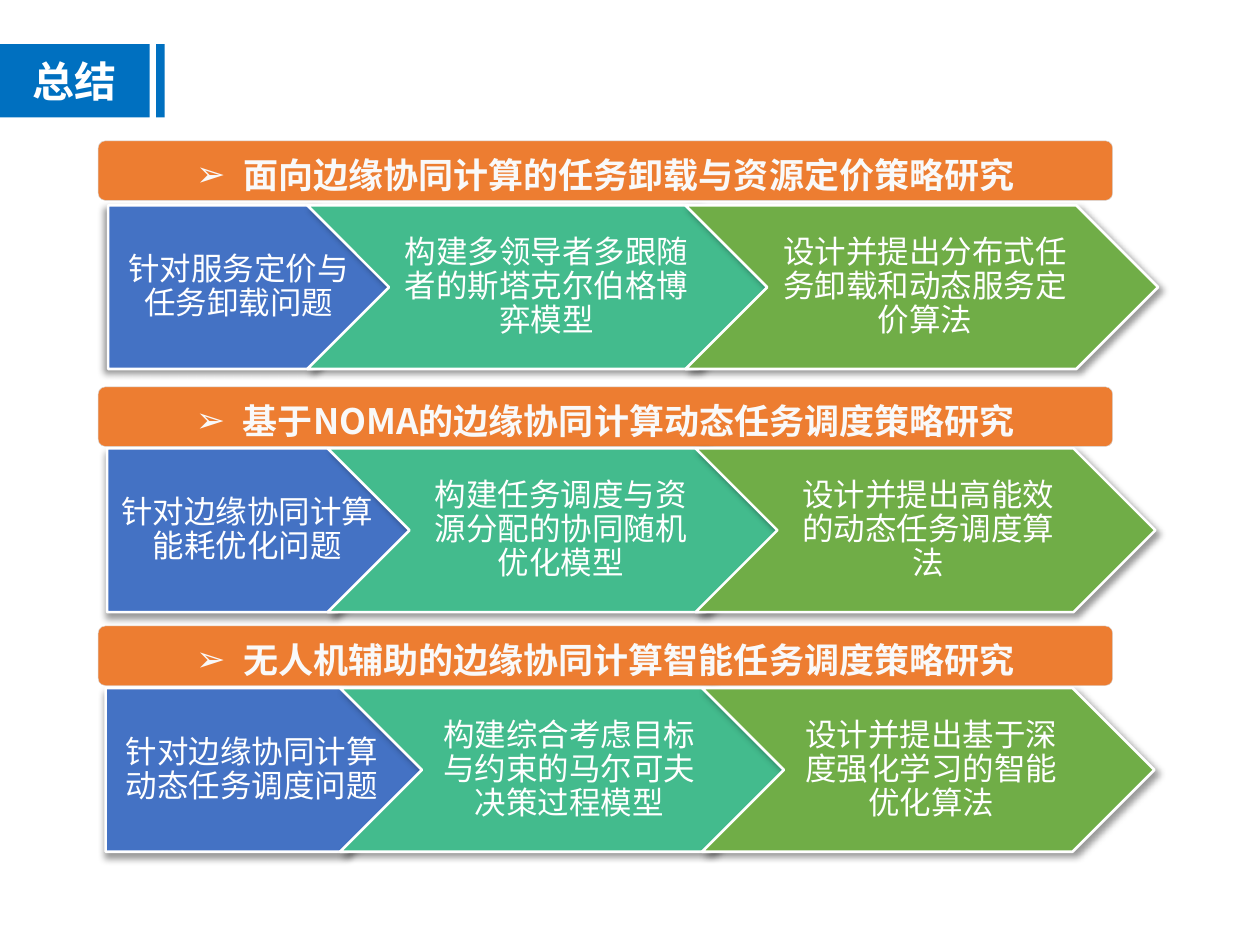
import pptx
import pptx.util
import pptx.dml.color
import pptx.enum.shapes
import pptx.enum.text
import pptx.oxml.ns
from lxml import etree

Cm, Pt = pptx.util.Cm, pptx.util.Pt
RGBColor = pptx.dml.color.RGBColor
MSO_SHAPE = pptx.enum.shapes.MSO_SHAPE
qn = pptx.oxml.ns.qn

WHITE = RGBColor(0xFF, 0xFF, 0xFF)
OFF_WHITE = RGBColor(0xF9, 0xF9, 0xF9)
GREY = RGBColor(0xD7, 0xD7, 0xD7)
TITLE_BLUE = RGBColor(0x00, 0x70, 0xC0)
ORANGE = RGBColor(0xED, 0x7D, 0x31)
BLUE = RGBColor(0x44, 0x72, 0xC4)
TEAL = RGBColor(0x43, 0xBB, 0x8D)
GREEN = RGBColor(0x70, 0xAD, 0x47)

BODY_FONT = "Noto Sans CJK SC"
HEAD_HEIGHT = 1.2
ARROW_HEIGHT = 3.3

# heading, top, arrow offset, arrow left, first and further arrow widths,
# direction of the first arrow's shadow, arrow texts
TOPICS = [
    ("面向边缘协同计算的任务卸载与资源定价策略研究", 2.84, 1.3, 2.18, 5.92, 9.53, 135,
     ["针对服务定价与任务卸载问题",
      "构建多领导者多跟随者的斯塔克尔伯格博弈模型",
      "设计并提出分布式任务卸载和动态服务定价算法"]),
    ("基于NOMA的边缘协同计算动态任务调度策略研究", 7.8, 1.24, 2.16, 6.3, 9.27, 90,
     ["针对边缘协同计算能耗优化问题",
      "构建任务调度与资源分配的协同随机优化模型",
      "设计并提出高能效的动态任务调度算法"]),
    ("无人机辅助的边缘协同计算智能任务调度策略研究", 12.62, 1.25, 2.13, 6.55, 9.12, 90,
     ["针对边缘协同计算动态任务调度问题",
      "构建综合考虑目标与约束的马尔可夫决策过程模型",
      "设计并提出基于深度强化学习的智能优化算法"]),
]


def add_box(slide, kind, x, y, w, h, fill, line=None, line_width=0):
    s = slide.shapes.add_shape(kind, Cm(x), Cm(y), Cm(w), Cm(h))
    s.shadow.inherit = False
    s.fill.solid()
    s.fill.fore_color.rgb = fill
    if line is None:
        s.line.fill.background()
    else:
        s.line.color.rgb = line
        s.line.width = Pt(line_width)
    return s


def add_shadow(s, direction):
    effects = s._element.spPr.find(qn("a:effectLst"))
    shadow = etree.SubElement(effects, qn("a:outerShdw"), blurRad=str(Pt(4)),
                              dist=str(Pt(3)), dir=str(direction * 60000),
                              algn="ctr", rotWithShape="0")
    colour = etree.SubElement(shadow, qn("a:srgbClr"), val="000000")
    etree.SubElement(colour, qn("a:alpha"), val="40000")


def add_bullet(p, char, indent):
    pPr = p._p.get_or_add_pPr()
    pPr.set("marL", str(Cm(indent)))
    pPr.set("indent", str(-Cm(indent)))
    etree.SubElement(pPr, qn("a:buFont"), typeface="Arial")
    etree.SubElement(pPr, qn("a:buChar"), char=char)


def set_text(s, text, size, color, font, bold=False, spacing=None):
    tf = s.text_frame
    tf.word_wrap = True
    tf.vertical_anchor = pptx.enum.text.MSO_ANCHOR.MIDDLE
    p = tf.paragraphs[0]
    p.text = text
    p.alignment = pptx.enum.text.PP_ALIGN.CENTER
    if spacing:
        p.line_spacing = spacing
    r = p.runs[0]
    r.font.size = Pt(size)
    r.font.bold = bold
    r.font.color.rgb = color
    r.font.name = font
    etree.SubElement(r._r.get_or_add_rPr(), qn("a:ea"), typeface=font)
    return p


def add_title(slide, x, y, h):
    """Title block with a thin bar to its right."""
    s = add_box(slide, MSO_SHAPE.RECTANGLE, x, y, 3.02, h, TITLE_BLUE)
    set_text(s, "总结", 24, WHITE, "Arial", bold=True)
    add_box(slide, MSO_SHAPE.RECTANGLE, x + 3.15, y, 0.17, h, TITLE_BLUE)


def add_heading(slide, text, x, y, w):
    """Orange band with a bulleted heading."""
    s = add_box(slide, MSO_SHAPE.ROUNDED_RECTANGLE, x, y, w, HEAD_HEIGHT,
                ORANGE, GREY, 0.25)
    s.adjustments[0] = 0.12
    p = set_text(s, text, 20, OFF_WHITE, BODY_FONT, bold=True, spacing=1.2)
    add_bullet(p, "➢", 0.95)


def add_arrows(slide, texts, x, y, first_width, width, first_shadow):
    """Pentagon followed by chevrons, each overlapping the one before."""
    overlap = 0.2 * width
    for i, (text, fill) in enumerate(zip(texts, (BLUE, TEAL, GREEN))):
        first = i == 0
        kind = MSO_SHAPE.PENTAGON if first else MSO_SHAPE.CHEVRON
        w = first_width if first else width
        s = add_box(slide, kind, x, y, w, ARROW_HEIGHT, fill, WHITE, 1.5)
        add_shadow(s, first_shadow if first else 45)
        s.text_frame.margin_left = Cm(0.25 if first else 0.2)
        s.text_frame.margin_right = Cm(0.08)
        set_text(s, text, 18, WHITE, BODY_FONT, spacing=0.9)
        x += w - overlap


def main():
    prs = pptx.Presentation()
    prs.slide_width, prs.slide_height = Cm(25.4), Cm(19.05)
    slide = prs.slides.add_slide(prs.slide_layouts[6])

    add_title(slide, 0, 0.89, 1.48)
    for heading, top, offset, left, first_width, width, shadow, texts in TOPICS:
        add_heading(slide, heading, 1.98, top, 20.45)
        add_arrows(slide, texts, left, top + offset, first_width, width, shadow)

    prs.save("out.pptx")


if __name__ == "__main__":
    main()
